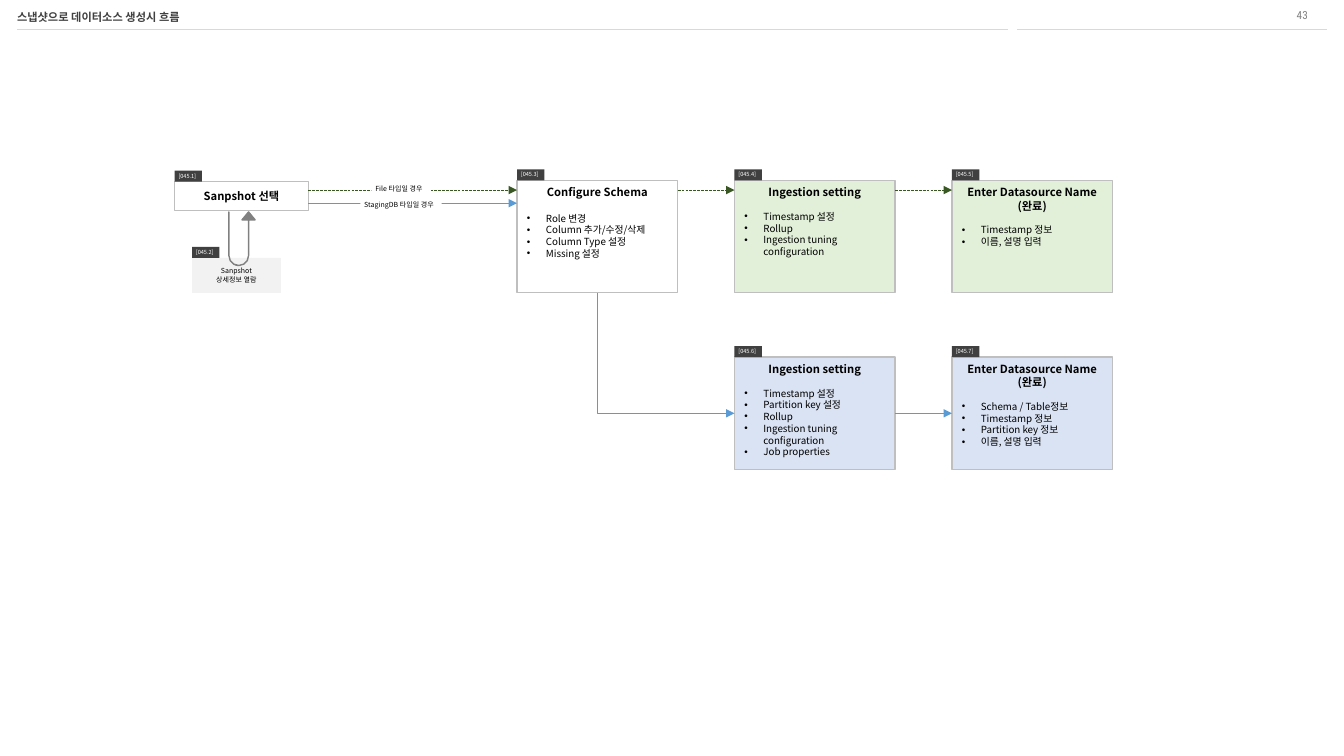
from lxml.etree import SubElement
from pptx import Presentation
from pptx.dml.color import RGBColor
from pptx.enum.dml import MSO_LINE
from pptx.enum.shapes import MSO_CONNECTOR, MSO_SHAPE
from pptx.enum.text import MSO_ANCHOR, MSO_AUTO_SIZE, PP_ALIGN
from pptx.oxml.ns import qn
from pptx.util import Cm, Pt

BLACK = RGBColor(0x00, 0x00, 0x00)
WHITE = RGBColor(0xFF, 0xFF, 0xFF)
DARK = RGBColor(0x40, 0x40, 0x40)
GREY = RGBColor(0x80, 0x80, 0x80)
BORDER = RGBColor(0xBF, 0xBF, 0xBF)
RULE = RGBColor(0xD9, 0xD9, 0xD9)
PALE_GREY = RGBColor(0xF2, 0xF2, 0xF2)
PALE_GREEN = RGBColor(0xE2, 0xF0, 0xD9)
PALE_BLUE = RGBColor(0xDA, 0xE3, 0xF3)
GREEN = RGBColor(0x38, 0x57, 0x23)
BLUE = RGBColor(0x5B, 0x9B, 0xD5)

KOREAN = "Noto Sans CJK KR"
NUMBER = "Roboto Condensed"

STEP_W, STEP_H = 4.05, 2.83
COLUMNS = [13.03 + 5.48 * i for i in range(3)]
FILE_ROW, STAGING_ROW = 4.55, 9.0
SELECT_BOX = (4.4, 4.58, 3.37, 0.73)
DETAIL_BOX = (4.84, 6.5, 2.24, 0.88)
TAG_W, TAG_H = 0.69, 0.28
FILE_Y, STAGING_Y = 4.79, 5.12


def write(frame, lines, size=8, color=BLACK, bold=False, font=KOREAN,
          align=PP_ALIGN.LEFT, bullet=False, gap=0, append=False):
    for index, line in enumerate(lines):
        fresh = append or index > 0
        paragraph = frame.add_paragraph() if fresh else frame.paragraphs[0]
        paragraph.alignment = align
        if gap and index == 0:
            paragraph.space_before = Pt(gap)
        if bullet:
            properties = paragraph._p.get_or_add_pPr()
            properties.set("marL", str(Cm(0.48)))
            properties.set("indent", str(-Cm(0.48)))
            SubElement(properties, qn("a:buFont"), typeface="Arial")
            SubElement(properties, qn("a:buChar"), char="•")
        run = paragraph.add_run()
        run.text = line
        run.font.size = Pt(size)
        run.font.bold = bold
        run.font.color.rgb = color
        run.font.name = font
        SubElement(run._r.get_or_add_rPr(), qn("a:ea"), typeface=font)


def set_margins(frame, left, top, right, bottom):
    frame.margin_left, frame.margin_top = Cm(left), Cm(top)
    frame.margin_right, frame.margin_bottom = Cm(right), Cm(bottom)


def add_panel(slide, box, fill, border=None, kind=MSO_SHAPE.RECTANGLE,
              anchor=MSO_ANCHOR.TOP):
    panel = slide.shapes.add_shape(kind, *map(Cm, box))
    panel.shadow.inherit = False
    panel.fill.solid()
    panel.fill.fore_color.rgb = fill
    if border is None:
        panel.line.fill.background()
    else:
        panel.line.color.rgb = border
        panel.line.width = Pt(1)
    panel.text_frame.vertical_anchor = anchor
    return panel


def add_label(slide, box, text, fill, color, size):
    frame = add_panel(slide, box, fill).text_frame
    set_margins(frame, 0.1, 0.05, 0.1, 0.05)
    frame.word_wrap = False
    frame.auto_size = MSO_AUTO_SIZE.SHAPE_TO_FIT_TEXT
    write(frame, [text], size=size, color=color)


def add_tag(slide, box, number):
    left, top = box[:2]
    add_label(slide, (left, top - TAG_H, TAG_W, TAG_H), f"[045.{number}]",
              DARK, WHITE, 4)


def add_line(slide, start, end, color, width, dashed=False, arrow=True,
             kind=MSO_CONNECTOR.STRAIGHT):
    line = slide.shapes.add_connector(kind, *map(Cm, start + end))
    line.line.color.rgb = color
    line.line.width = Pt(width)
    if dashed:
        line.line.dash_style = MSO_LINE.LONG_DASH
    if arrow:
        SubElement(line.line._get_or_add_ln(), qn("a:tailEnd"), type="triangle")
    SubElement(line._element.spPr, qn("a:effectLst"))
    return line


def add_corner_arrow(slide, start, end):
    arrow = add_line(slide, start, end, BLUE, 0.5, kind=MSO_CONNECTOR.ELBOW)
    across, down = end[0] - start[0], end[1] - start[1]
    arrow.left = Cm(start[0] + (across - down) / 2)
    arrow.top = Cm(start[1] + (down - across) / 2)
    arrow.width, arrow.height = Cm(down), Cm(across)
    properties = arrow._element.spPr
    properties.find(qn("a:prstGeom")).set("prst", "bentConnector2")
    properties.xfrm.set("rot", str(270 * 60000))
    properties.xfrm.set("flipH", "1")


def add_header(slide, left, top, width, height):
    right = left + width
    rule_y = top + height
    for start, end in ((left, 25.4), (25.63, right)):
        add_line(slide, (start, rule_y), (end, rule_y), RULE, 0.25, arrow=False)
    title = slide.shapes.add_textbox(
        Cm(left), Cm(top), Cm(24.97), Cm(height - 0.03)).text_frame
    title.word_wrap = True
    title.vertical_anchor = MSO_ANCHOR.BOTTOM
    set_margins(title, 0, 0, 0, 0.1)
    write(title, ["스냅샷으로 데이터소스 생성시 흐름"], color=DARK, bold=True)
    title.paragraphs[0].line_spacing = 0.9
    page = slide.shapes.add_textbox(
        Cm(right - 1.22), Cm(top), Cm(1.22), Cm(height)).text_frame
    page.word_wrap = True
    page.vertical_anchor = MSO_ANCHOR.MIDDLE
    set_margins(page, 0, 0, 0, 0)
    write(page, ["43"], color=GREY, font=NUMBER, align=PP_ALIGN.CENTER)


def add_snapshot(slide, select_box, detail_box):
    select = add_panel(slide, select_box, WHITE, BORDER, anchor=MSO_ANCHOR.MIDDLE)
    write(select.text_frame, ["Sanpshot 선택"], bold=True, align=PP_ALIGN.CENTER)
    detail = add_panel(slide, detail_box, PALE_GREY, anchor=MSO_ANCHOR.MIDDLE)
    write(detail.text_frame, ["Sanpshot", "상세정보 열람"], size=5,
          align=PP_ALIGN.CENTER)
    left, top, _, height = select_box
    back = add_panel(slide, (left + 1.37, top + height + 0.03, 0.66, 1.35),
                     GREY, GREY, kind=MSO_SHAPE.U_TURN_ARROW)
    for index, value in enumerate((0, 0.25, 0.303, 0.438, 1)):
        back.adjustments[index] = value
    back.rotation = 180
    back._element.spPr.xfrm.set("flipH", "1")
    add_tag(slide, select_box, 1)
    add_tag(slide, detail_box, 2)


def add_step(slide, box, number, heading, items, fill, gap=8.4):
    frame = add_panel(slide, box, fill, BORDER).text_frame
    frame.word_wrap = True
    write(frame, heading, bold=True, align=PP_ALIGN.CENTER)
    write(frame, items, size=7, bullet=True, gap=gap, append=True)
    add_tag(slide, box, number)


def add_flows(slide):
    configure, ingestion, finish = COLUMNS
    start = SELECT_BOX[0] + SELECT_BOX[2]
    middle_y = STAGING_ROW + STEP_H / 2
    for left, right in ((start, configure), (configure + STEP_W, ingestion),
                        (ingestion + STEP_W, finish)):
        add_line(slide, (left, FILE_Y), (right, FILE_Y), GREEN, 0.25, dashed=True)
    add_line(slide, (start, STAGING_Y), (configure, STAGING_Y), BLUE, 0.5)
    add_corner_arrow(slide, (configure + STEP_W / 2, FILE_ROW + STEP_H),
                     (ingestion, middle_y))
    add_line(slide, (ingestion + STEP_W, middle_y), (finish, middle_y), BLUE, 0.5)
    add_label(slide, (9.36, 4.6, 1.5, 0.31), "File 타입일 경우", WHITE, BLACK, 5)
    add_label(slide, (9.08, 5.0, 2.05, 0.31), "StagingDB 타입일 경우",
              WHITE, BLACK, 5)


def main():
    deck = Presentation()
    deck.slide_width, deck.slide_height = Cm(33.87), Cm(19.05)
    slide = deck.slides.add_slide(deck.slide_layouts[6])
    add_header(slide, 0.43, 0, 33.0, 0.74)
    add_snapshot(slide, SELECT_BOX, DETAIL_BOX)
    setting = ["Ingestion setting"]
    done = ["Enter Datasource Name", "(완료)"]
    steps = [
        (0, FILE_ROW, ["Configure Schema"], WHITE, 9.6,
         ["Role 변경", "Column 추가/수정/삭제", "Column Type 설정", "Missing 설정"]),
        (1, FILE_ROW, setting, PALE_GREEN, 8.4,
         ["Timestamp 설정", "Rollup", "Ingestion tuning configuration"]),
        (2, FILE_ROW, done, PALE_GREEN, 8.4, ["Timestamp 정보", "이름, 설명 입력"]),
        (1, STAGING_ROW, setting, PALE_BLUE, 8.4,
         ["Timestamp 설정", "Partition key 설정", "Rollup",
          "Ingestion tuning configuration", "Job properties"]),
        (2, STAGING_ROW, done, PALE_BLUE, 8.4,
         ["Schema / Table정보", "Timestamp 정보", "Partition key 정보",
          "이름, 설명 입력"]),
    ]
    for number, (column, top, heading, fill, gap, items) in enumerate(steps, 3):
        add_step(slide, (COLUMNS[column], top, STEP_W, STEP_H), number,
                 heading, items, fill, gap)
    add_flows(slide)
    deck.save("out.pptx")


if __name__ == "__main__":
    main()
